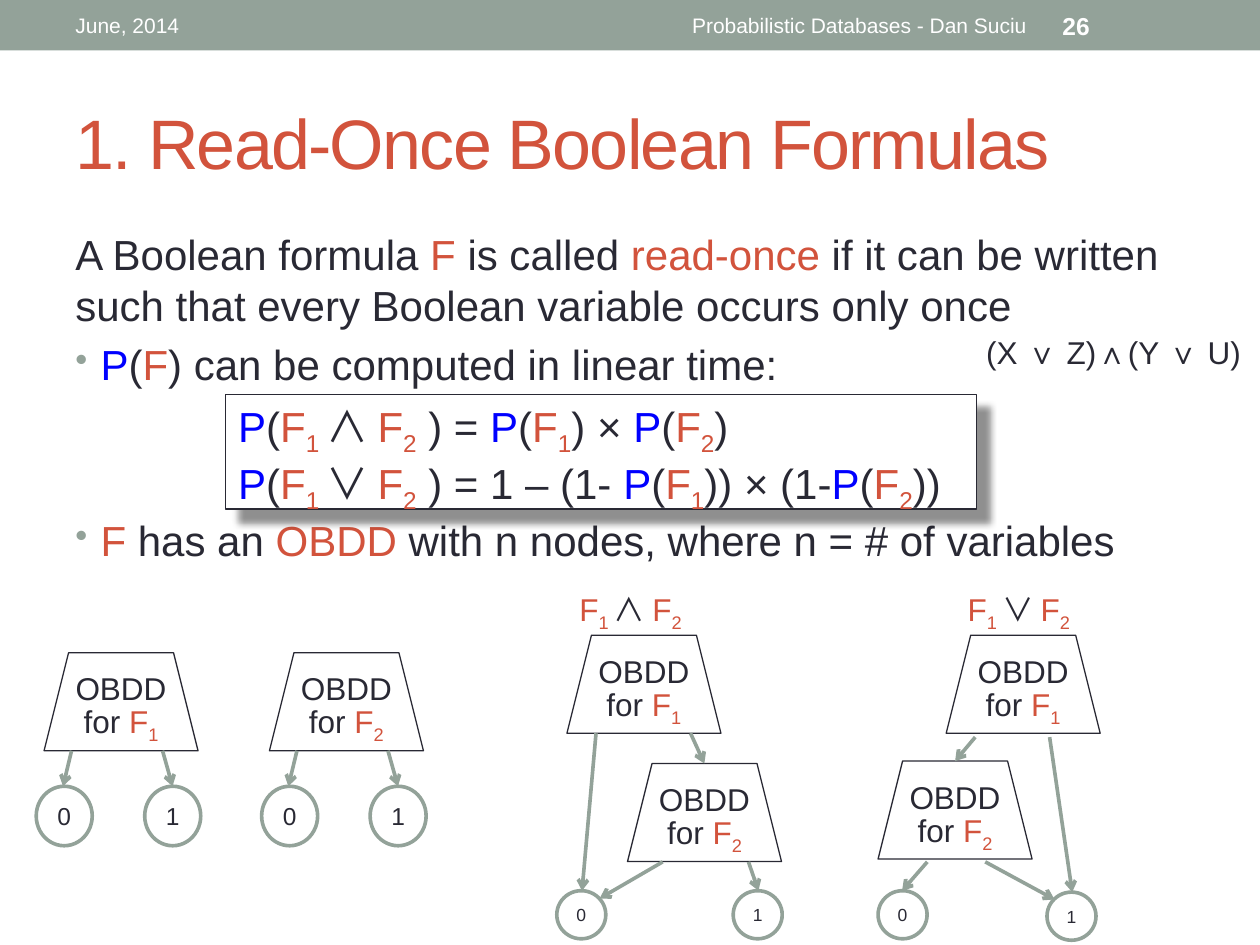
from lxml import etree
from pptx import Presentation
from pptx import util as u
from pptx.dml.color import RGBColor
from pptx.enum import shapes, text
from pptx.oxml import ns

Pt = u.Pt
INK = RGBColor(0x29, 0x29, 0x34)
RED = RGBColor(0xD2, 0x53, 0x3C)
BLUE = RGBColor(0x00, 0x00, 0xFF)
SAGE = RGBColor(0x93, 0xA2, 0x99)
WHITE = RGBColor(0xFF, 0xFF, 0xFF)
FONT = "Arial"
MATH = "Noto Sans CJK JP"
KIND = shapes.MSO_SHAPE
LEFT, MID, RIGHT = text.PP_ALIGN.LEFT, text.PP_ALIGN.CENTER, text.PP_ALIGN.RIGHT
TOP, CENTRE = text.MSO_ANCHOR.TOP, text.MSO_ANCHOR.MIDDLE


def node(root, tag, **attrs):
    return etree.SubElement(root, ns.qn("a:" + tag), attrs)


def bullet(para):
    props = para._p.get_or_add_pPr()
    props.set("marL", str(Pt(14.4)))
    props.set("indent", str(-Pt(14.4)))
    node(node(props, "buClr"), "srgbClr", val=str(SAGE))
    node(props, "buSzPct", val="85000")
    node(props, "buChar", char="•")


def write(para, words, size=18, color=INK, bold=False, align=LEFT,
          lead=None, gap=0, mark=False, track=None):
    para.alignment = align
    para.space_before = Pt(gap)
    if lead:
        para.line_spacing = Pt(lead)
    if mark:
        bullet(para)
    for part in words.split("|"):
        if part == "\n":
            para.add_line_break()
            continue
        sub, red = part[0] == "_", part[0] == "!"
        run = para.add_run()
        run.text = part[1:] if sub or red else part
        face = MATH if part[0] in "∧∨" else FONT
        font = run.font
        font.name, font.size, font.bold = face, Pt(size), bold
        tint = BLUE if part == "P" else RED if sub or red or part == "F" else color
        font.color.rgb = tint
        props = run._r.get_or_add_rPr()
        node(props, "ea", typeface=face)
        if sub:
            props.set("baseline", "-25000")
        if track:
            props.set("spc", str(track))


class Deck:
    def __init__(self):
        self.show = Presentation()
        self.show.slide_width, self.show.slide_height = Pt(720), Pt(540)
        self.slide = self.show.slides.add_slide(self.show.slide_layouts[5])
        self.items = self.slide.shapes
        self.width = 2.08

    def fill(self, shape, lines, anchor=TOP, wrap=False, **form):
        frame = shape.text_frame
        frame.word_wrap = wrap
        frame.auto_size = text.MSO_AUTO_SIZE.NONE
        frame.vertical_anchor = anchor
        for i, line in enumerate(lines):
            para = frame.paragraphs[0] if i == 0 else frame.add_paragraph()
            words, extra = line if isinstance(line, tuple) else (line, {})
            write(para, words, **{**form, **extra})

    def title(self, words, x, y, w, h):
        head = self.items.title
        head.left, head.top, head.width, head.height = map(Pt, (x, y, w, h))
        self.fill(head, [words], CENTRE, True, size=40, color=RED, track=-100)

    def label(self, lines, x, y, w, h, **form):
        box = self.items.add_textbox(*map(Pt, (x, y, w, h)))
        self.fill(box, lines, **form)

    def shape(self, kind, x, y, w, h, fill=None, line=None, width=0.75):
        item = self.items.add_shape(kind, *map(Pt, (x, y, w, h)))
        item.shadow.inherit = False
        if fill is None:
            item.fill.background()
        else:
            item.fill.solid()
            item.fill.fore_color.rgb = fill
        if line is None:
            item.line.fill.background()
        else:
            item.line.color.rgb = line
            item.line.width = Pt(width)
        return item

    def panel(self, lines, x, y, w, h):
        box = self.shape(KIND.RECTANGLE, x, y, w, h, WHITE, INK)
        cast = node(box._element.spPr.find(ns.qn("a:effectLst")), "outerShdw",
                    blurRad=str(Pt(4)), dist=str(Pt(10)), dir="2700000",
                    algn="tl", rotWithShape="0")
        node(node(cast, "srgbClr", val="000000"), "alpha", val="43000")
        self.fill(box, lines, size=24, lead=32.6)

    def block(self, index, x, y):
        box = self.shape(KIND.TRAPEZOID, x, y, 88, 56, line=INK)
        self.fill(box, [f"OBDD|\n|for |F|_{index}"], align=MID, lead=21.7)

    def leaf(self, value, x, y, w, h, size):
        dot = self.shape(KIND.OVAL, x, y, w, h, WHITE, SAGE, self.width)
        self.fill(dot, [value], CENTRE, size=size, align=MID)

    def arrow(self, *ends):
        line = self.items.add_connector(shapes.MSO_CONNECTOR.STRAIGHT, *map(Pt, ends))
        line.line.color.rgb = SAGE
        line.line.width = Pt(self.width)
        node(line.line._get_or_add_ln(), "tailEnd", type="arrow")
        node(line._element.spPr, "effectLst")


def lone(deck, index, x):
    deck.block(index, x, 373)
    for value, dx, start, end in (("0", -4.5, 15.7, 10.8), ("1", 57.5, 67.7, 73.4)):
        deck.leaf(value, x + dx, 449.3, 32, 34, 14)
        deck.arrow(x + start, 429, x + end, 449.3)


def joint(deck, sign, name, blocks, leaves, arrows):
    deck.label([f"F|_1 |{sign} |F|_2"], name, 333.4, 78.5, 28.8)
    for index, spot in enumerate(blocks, 1):
        deck.block(index, *spot)
    for value, spot in zip("01", leaves):
        deck.leaf(value, *spot, 28, 27.5, 10)
    for ends in arrows:
        deck.arrow(*ends)


def main():
    deck = Deck()
    deck.shape(KIND.RECTANGLE, 0, 0, 720, 28.8, SAGE)
    deck.title("1. Read-Once Boolean Formulas", 36, 42, 648, 78)
    bar = dict(anchor=CENTRE, wrap=True, color=WHITE)
    deck.label(["June, 2014"], 36, 1.5, 228, 26, size=12, **bar)
    deck.label(["Probabilistic Databases - Dan Suciu"], 270, 1.5, 324, 26,
               size=12, align=RIGHT, **bar)
    deck.label(["26"], 600, 1.5, 84, 26, size=14, bold=True, **bar)

    deck.label([
        "A Boolean formula |F| is called |!read-once |if it can be written "
        "such that every Boolean variable occurs only once",
        ("P|(|F|) can be computed in linear time:", dict(mark=True, gap=4.8)),
        ("F| has an |!OBDD| with n nodes, where n = # of variables",
         dict(mark=True, gap=71.6)),
    ], 36, 127, 648, 384, wrap=True, size=24, lead=29)
    deck.panel([
        "P|(|F|_1 |∧ |F|_2| ) = |P|(|F|_1|) × |P|(|F|_2|)",
        "P|(|F|_1 |∨ |F|_2| ) = 1 – (1- |P|(|F|_1|)) × (1-|P|(|F|_2|))",
    ], 129, 225.4, 429, 65.5)
    deck.label(["(X ∨ Z)∧(Y ∨ U)"], 556.5, 187, 161, 29)

    lone(deck, 1, 25.2)
    lone(deck, 2, 154)
    joint(deck, "∧", 324,
          [(324, 363), (358.6, 436.3)],
          [(318.2, 509), (419, 509)],
          [(340.6, 419, 332.6, 509), (394.6, 419, 402.5, 436.3),
           (427.7, 492.5, 433.4, 509), (378.7, 492.5, 342.7, 513.4)])
    joint(deck, "∨", 545.8,
          [(540.7, 363), (501.8, 434.9)],
          [(501.8, 509), (598.3, 509.8)],
          [(557.3, 421.2, 545.8, 434.9), (529.9, 492.5, 515.5, 509),
           (599.8, 421.2, 612.7, 509.8), (563, 492.5, 602.6, 514)])
    deck.show.save("out.pptx")


if __name__ == "__main__":
    main()
